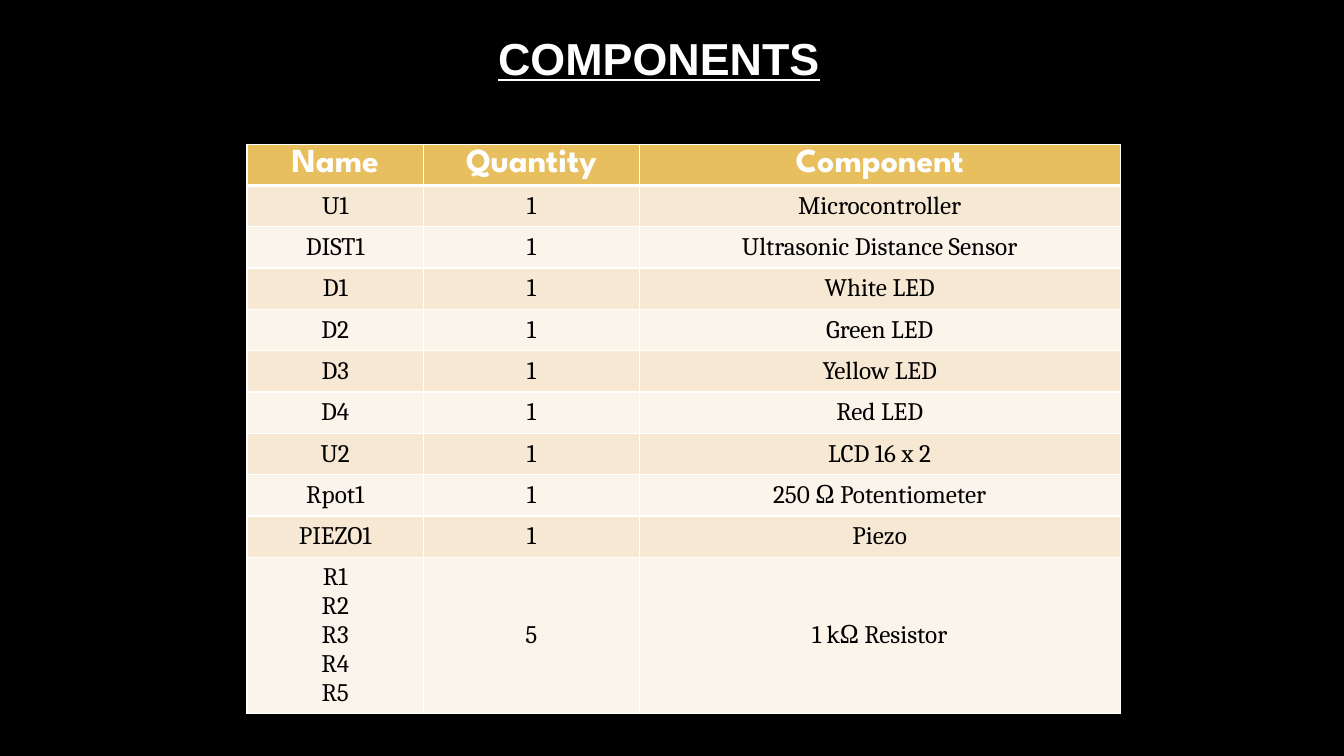
"""Builds the slide listing the components of the circuit."""
from dataclasses import dataclass

from lxml.etree import SubElement
from pptx import Presentation
from pptx.dml.color import RGBColor
from pptx.enum.text import MSO_ANCHOR, PP_ALIGN
from pptx.oxml.ns import qn
from pptx.util import Inches, Pt


@dataclass(frozen=True)
class Theme:
    background: str = "000000"
    white: str = "FFFFFF"
    title_shade: str = "A6A6A6"
    header: str = "E7BF5F"
    bands: tuple = ("F6E8D2", "FAF4EA")
    body_text: str = "000000"
    title_font: str = "Arial"
    header_font: str = "League Spartan"
    body_font: str = "Cambria"
    title_size: int = 32
    header_size: int = 24
    body_size: int = 18
    thin_line: int = 1
    thick_line: int = 3


def add_border(cell, side, width):
    line = SubElement(cell._tc.get_or_add_tcPr(), qn(f"a:{side}"), w=str(Pt(width)))
    fill = SubElement(line, qn("a:solidFill"))
    SubElement(fill, qn("a:srgbClr"), val=theme.white)


def style_font(font, name, size, bold):
    font.name = name
    font.size = Pt(size)
    font.bold = bold


theme = Theme()
components = [
    ("Name", "Quantity", "Component"),
    ("U1", "1", "Microcontroller"),
    ("DIST1", "1", "Ultrasonic Distance Sensor"),
    ("D1", "1", "White LED"),
    ("D2", "1", "Green LED"),
    ("D3", "1", "Yellow LED"),
    ("D4", "1", "Red LED"),
    ("U2", "1", "LCD 16 x 2"),
    ("Rpot1", "1", "250 Ω Potentiometer"),
    ("PIEZO1", "1", "Piezo"),
    ("R1\nR2\nR3\nR4\nR5", "5", "1 kΩ Resistor"),
]
column_widths = (1.75, 2.14, 4.77)
row_heights = [0.41] * (len(components) - 1) + [1.55]

presentation = Presentation()
presentation.slide_width = Inches(13.33)
presentation.slide_height = Inches(7.5)
slide = presentation.slides.add_slide(presentation.slide_layouts[5])
slide.background.fill.solid()
slide.background.fill.fore_color.rgb = RGBColor.from_string(theme.background)

title = slide.shapes.title
title.left, title.top = Inches(4.14), 0
title.width, title.height = Inches(4.79), Inches(1.14)
title.text_frame.text = "COMPONENTS"
title.text_frame.vertical_anchor = MSO_ANCHOR.MIDDLE
title_paragraph = title.text_frame.paragraphs[0]
title_paragraph.alignment = PP_ALIGN.CENTER
title_font = title_paragraph.runs[0].font
style_font(title_font, theme.title_font, theme.title_size, True)
title_font.underline = True
title_font.fill.gradient()
title_font.fill.gradient_angle = 267
for stop, color in zip(title_font.fill.gradient_stops, (theme.white, theme.title_shade)):
    stop.color.rgb = RGBColor.from_string(color)

table = slide.shapes.add_table(
    len(components), len(column_widths), Inches(2.45), Inches(1.43),
    Inches(sum(column_widths)), Inches(sum(row_heights)),
).table
table.horz_banding = False
for column, width in zip(table.columns, column_widths):
    column.width = Inches(width)

for row_index, (row, height, values) in enumerate(zip(table.rows, row_heights, components)):
    row.height = Inches(height)
    is_header = row_index == 0
    if is_header:
        fill_color, text_color = theme.header, theme.white
        font_name, font_size = theme.header_font, theme.header_size
    else:
        fill_color, text_color = theme.bands[(row_index - 1) % 2], theme.body_text
        font_name, font_size = theme.body_font, theme.body_size
    top_line = theme.thick_line if row_index == 1 else theme.thin_line
    bottom_line = theme.thick_line if is_header else theme.thin_line
    for cell, value in zip(row.cells, values):
        add_border(cell, "lnL", theme.thin_line)
        add_border(cell, "lnR", theme.thin_line)
        add_border(cell, "lnT", top_line)
        add_border(cell, "lnB", bottom_line)
        cell.fill.solid()
        cell.fill.fore_color.rgb = RGBColor.from_string(fill_color)
        cell.vertical_anchor = MSO_ANCHOR.MIDDLE
        cell.text_frame.text = value
        for paragraph in cell.text_frame.paragraphs:
            paragraph.alignment = PP_ALIGN.CENTER
            font = paragraph.runs[0].font
            style_font(font, font_name, font_size, is_header)
            font.color.rgb = RGBColor.from_string(text_color)

presentation.save("out.pptx")
